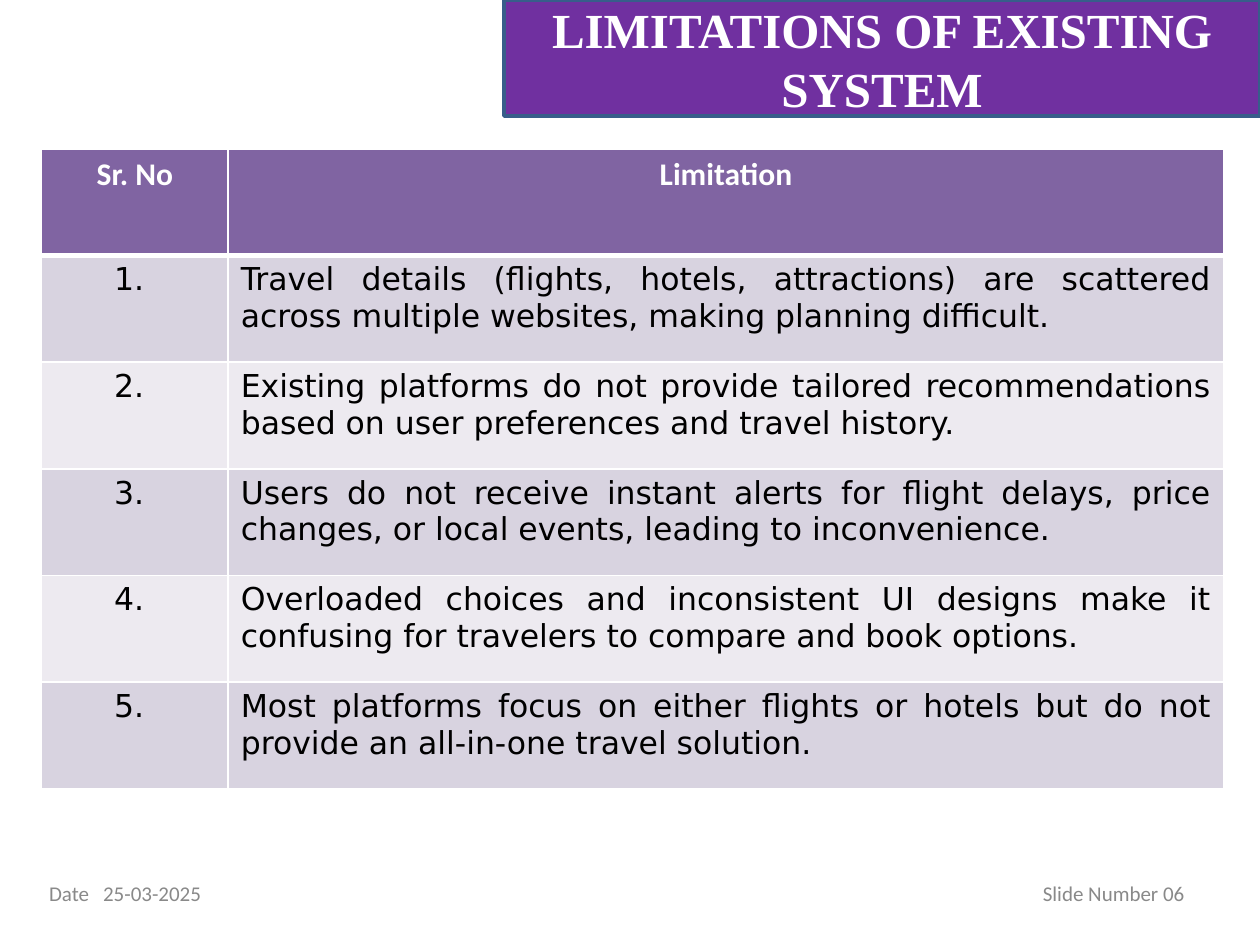
from lxml.etree import SubElement
from pptx import Presentation
from pptx.dml.color import RGBColor
from pptx.enum.shapes import MSO_SHAPE as Shape
from pptx.enum.text import MSO_ANCHOR as Anchor, PP_ALIGN as Align
from pptx.oxml import parse_xml
from pptx.oxml.ns import nsdecls, qn
from pptx.util import Cm, Pt

COLOURS = {
    "banner": "7030A0", "banner_line": "385D8A", "header": "8064A2",
    "band_dark": "D8D3E0", "band_light": "EDEAF0",
    "white": "FFFFFF", "black": "000000", "footer": "898989",
}
LIMITATIONS = [
    "Travel details (flights, hotels, attractions) are scattered across multiple websites, making planning difficult.",
    "Existing platforms do not provide tailored recommendations based on user preferences and travel history.",
    "Users do not receive instant alerts for flight delays, price changes, or local events, leading to inconvenience.",
    "Overloaded choices and inconsistent UI designs make it confusing for travelers to compare and book options.",
    "Most platforms focus on either flights or hotels but do not provide an all-in-one travel solution.",
]


class SlideBuilder:
    """Hold the style and the current slide, and add each kind of element."""

    def __init__(self, presentation, colours):
        self.colours = colours
        self.slide = presentation.slides.add_slide(presentation.slide_layouts[6])

    def colour(self, name):
        return RGBColor.from_string(self.colours[name])

    def add_text(self, frame, text, font, size, colour, bold=False, align=Align.LEFT):
        frame.word_wrap = True
        paragraph = frame.paragraphs[0]
        paragraph.alignment = align
        run = paragraph.add_run()
        run.text = text
        run.font.name, run.font.size, run.font.bold = font, Pt(size), bold
        run.font.color.rgb = self.colour(colour)
        return paragraph

    def banner(self, text, left, top, width, height):
        shape = self.slide.shapes.add_shape(Shape.RECTANGLE, left, top, width, height)
        shape.shadow.inherit = False
        shape.fill.solid()
        shape.fill.fore_color.rgb = self.colour("banner")
        shape.line.color.rgb = self.colour("banner_line")
        shape.line.width = Pt(2)
        shape.text_frame.vertical_anchor = Anchor.MIDDLE
        self.add_text(shape.text_frame, text, "Times New Roman", 28, "white", True, Align.CENTER)

    def cell_style(self, cell, fill, top, bottom):
        cell.fill.solid()
        cell.fill.fore_color.rgb = self.colour(fill)
        properties = cell._tc.get_or_add_tcPr()
        borders = {"lnL": 1, "lnR": 1, "lnT": top, "lnB": bottom}
        for index, (side, width) in enumerate(borders.items()):
            properties.insert(index, parse_xml(
                f'<a:{side} {nsdecls("a")} w="{Pt(width)}"><a:solidFill>'
                f'<a:srgbClr val="{self.colours["white"]}"/></a:solidFill></a:{side}>'))

    def table(self, header, rows, left, top, widths, row_height):
        count = len(rows) + 1
        table = self.slide.shapes.add_table(
            count, len(widths), left, top, sum(widths), row_height * count).table
        table.first_row = table.horz_banding = False
        for column, width in zip(table.columns, widths):
            column.width = width
        for cell, text in zip(table.rows[0].cells, header):
            self.cell_style(cell, "header", 1, 3)
            self.add_text(cell.text_frame, text, "Calibri", 18, "white", True, Align.CENTER)
        for number, values in enumerate(rows, 1):
            fill = "band_dark" if number % 2 else "band_light"
            for cell, text in zip(table.rows[number].cells, values):
                self.cell_style(cell, fill, 3 if number == 1 else 1, 1)
                self.add_text(cell.text_frame, text, "DejaVu Sans", 18, "black", align=Align.JUSTIFY)
            table.cell(number, 0).margin_left = Cm(1.46)

    def footer(self, parts, tabs, left, top, width, height):
        frame = self.slide.shapes.add_textbox(left, top, width, height).text_frame
        frame.vertical_anchor = Anchor.MIDDLE
        paragraph = self.add_text(frame, "\t".join(parts), "Calibri", 12, "footer")
        tab_list = SubElement(paragraph._p.get_or_add_pPr(), qn("a:tabLst"))
        for position, align in tabs:
            SubElement(tab_list, qn("a:tab"), pos=str(position), algn=align)


def main():
    presentation = Presentation()
    presentation.slide_width, presentation.slide_height = Cm(25.4), Cm(19.05)
    builder = SlideBuilder(presentation, COLOURS)
    builder.banner("LIMITATIONS OF EXISTING SYSTEM", Cm(10.16), Cm(0), Cm(15.24), Cm(2.34))
    rows = [(f"{number}.", text) for number, text in enumerate(LIMITATIONS, 1)]
    builder.table(("Sr. No", "Limitation"), rows, Cm(0.84), Cm(3), (Cm(3.76), Cm(20.07)), Cm(2.15))
    builder.footer(("Date", "25-03-2025", "Slide Number 06"),
                   ((Cm(1.09), "l"), (Cm(22.89), "r")),
                   Cm(0.74), Cm(17.35), Cm(23.93), Cm(1.3))
    presentation.save("out.pptx")


if __name__ == "__main__":
    main()
